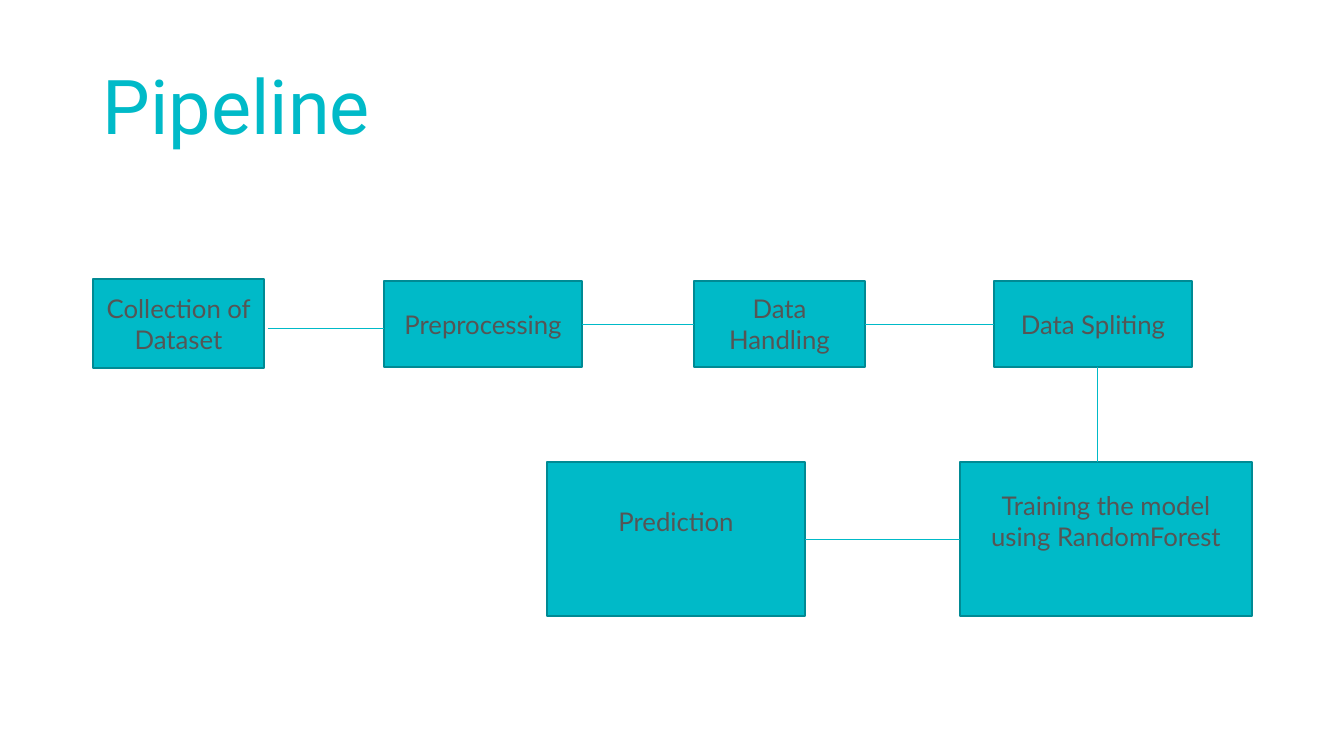
import pptx
import pptx.util
import pptx.dml.color
import pptx.enum.text
import pptx.enum.shapes
import pptx.oxml.xmlchemy
import lxml.etree

TEAL, EDGE, GREY = "00BAC8", "008A94", "555555"
SIZE = (1344, 756)
TITLE = ("Pipeline", (93, 40, 1176, 115))
ROW, LOW = (281, 86), (462, 154)
STEPS = {
    "collect": ("Collection of Dataset", 93, 171, (279, 89), 5),
    "prep": ("Preprocessing", 384, 198, ROW, 5),
    "handle": ("Data Handling", 694, 171, ROW, 5),
    "split": ("Data Spliting", 994, 198, ROW, 5),
    "train": ("Training the model using RandomForest", 960, 292, LOW, 41),
    "predict": ("Prediction", 547, 258, LOW, 41),
}
LINKS = [("prep", 3, "handle", 1), ("handle", 3, "split", 1), ("train", 1, "predict", 3)]
LINES = [(268, 328, 384, 328), (1097, 367, 1097, 462)]

ALIGN = pptx.enum.text.PP_ALIGN
ANCHOR = pptx.enum.text.MSO_ANCHOR
STRAIGHT = pptx.enum.shapes.MSO_CONNECTOR.STRAIGHT
RECT = pptx.enum.shapes.MSO_SHAPE.RECTANGLE
Pt = pptx.util.Pt
DRAW = "{http://schemas.openxmlformats.org/drawingml/2006/main}"


def px(n):
    return round(n * 914400 / 100.8)


def tint(code):
    return pptx.dml.color.RGBColor.from_string(code)


def apply(thing, style):
    for key, value in style.items():
        setattr(thing, key, value)


def write(shape, text, frame, para, font, color):
    box = shape.text_frame
    apply(box, {"word_wrap": True, **frame})
    line = box.paragraphs[0]
    line.text = text
    apply(line, para)
    apply(line.runs[0].font, font)
    line.runs[0].font.color.rgb = tint(color)


def join(slide, ends):
    link = slide.shapes.add_connector(STRAIGHT, *map(px, ends))
    link.line.color.rgb = tint(TEAL)
    link.line.width = Pt(0.5)
    lxml.etree.SubElement(link._element.spPr, DRAW + "effectLst")
    return link


def main():
    deck = pptx.Presentation()
    apply(deck, {"slide_width": px(SIZE[0]), "slide_height": px(SIZE[1])})
    slide = deck.slides.add_slide(deck.slide_layouts[6])

    text, place = TITLE
    head = slide.shapes.add_textbox(*map(px, place))
    write(head, text, {"vertical_anchor": ANCHOR.BOTTOM}, {"alignment": ALIGN.LEFT},
          {"name": "Roboto", "size": Pt(54)}, TEAL)

    boxes = {}
    for key, (text, left, width, (top, height), foot) in STEPS.items():
        box = slide.shapes.add_shape(RECT, *map(px, (left, top, width, height)))
        box.shadow.inherit = False
        box.fill.solid()
        box.fill.fore_color.rgb = tint(TEAL)
        box.line.color.rgb = tint(EDGE)
        box.line.width = Pt(1)
        write(box, text, {"vertical_anchor": ANCHOR.MIDDLE, "margin_bottom": px(foot)},
              {"alignment": ALIGN.CENTER, "space_after": Pt(6)},
              {"name": "Lato", "size": Pt(18.4)}, GREY)
        boxes[key] = box

    for start, out, end, into in LINKS:
        link = join(slide, (0, 0, 0, 0))
        link.begin_connect(boxes[start], out)
        link.end_connect(boxes[end], into)
    for ends in LINES:
        join(slide, ends)

    deck.save("out.pptx")


if __name__ == "__main__":
    main()
